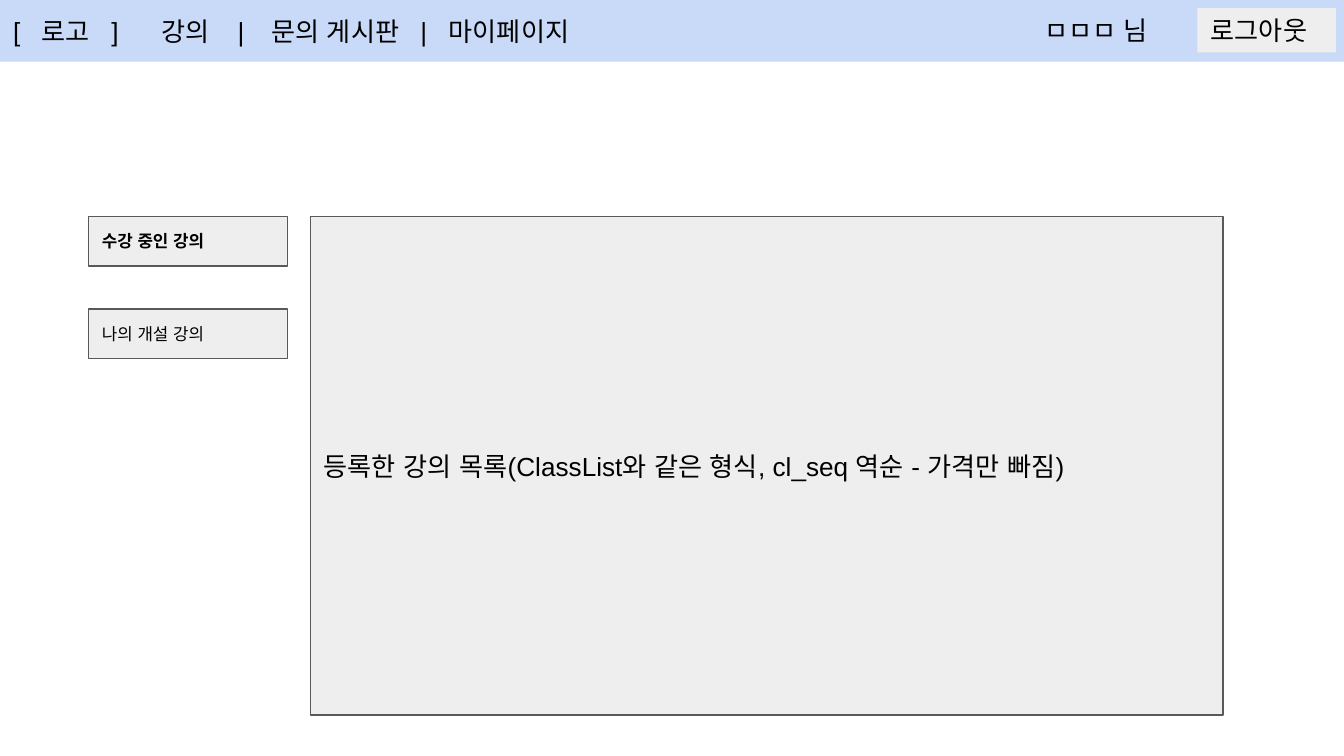
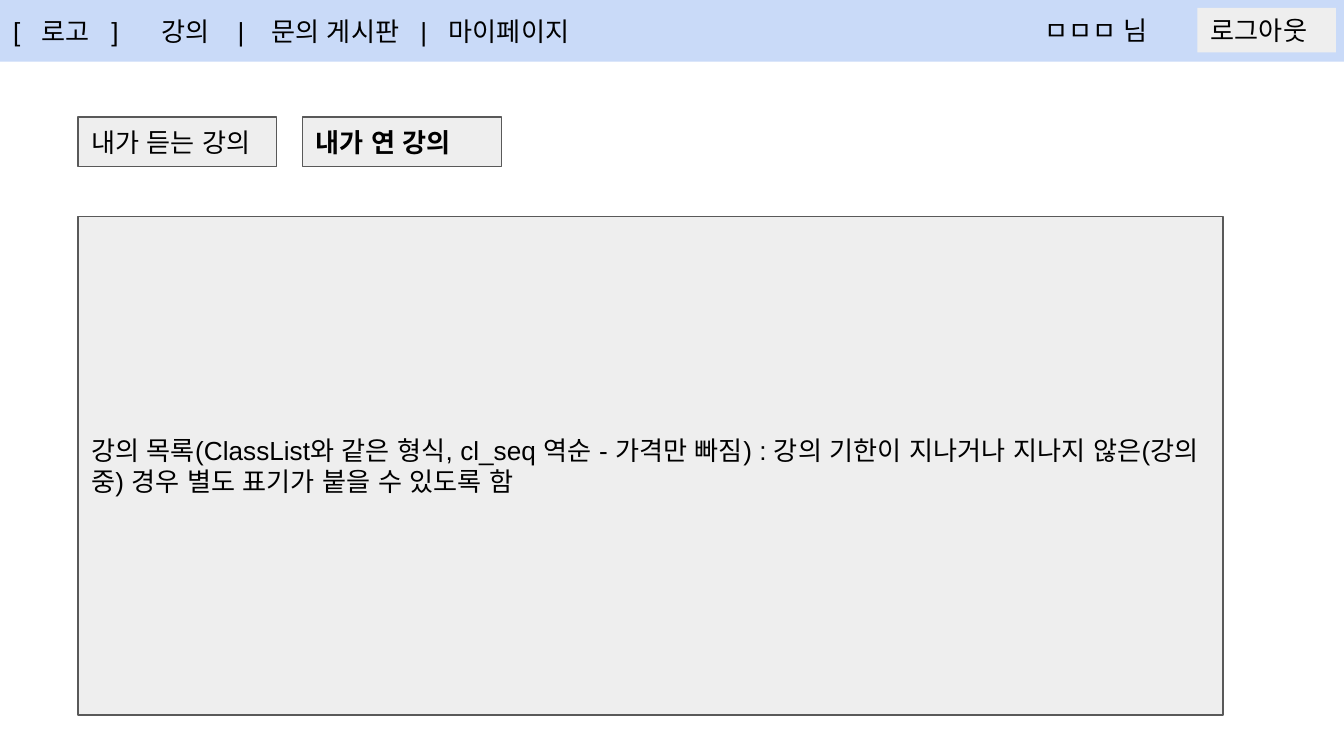
"""Build two wireframe slides of the my-page lecture lists."""
from dataclasses import dataclass

from lxml.etree import SubElement
from pptx import Presentation
from pptx.dml.color import RGBColor
from pptx.enum.shapes import MSO_SHAPE as Preset
from pptx.enum.text import MSO_ANCHOR as Anchor, PP_ALIGN as Align
from pptx.oxml.ns import qn
from pptx.slide import Slide
from pptx.text.text import TextFrame
from pptx.util import Inches, Pt

FONT = "Arial"
BLACK, BAND, PANEL, OUTLINE = "000000", "C9DAF8", "EEEEEE", "595959"
INSET = 0.1
TAB_WIDTH, TAB_HEIGHT = 1.48, 0.37
LIST_TOP, LIST_HEIGHT, LIST_RIGHT = 1.61, 3.71, 9.1
LOGIN_TOP, LOGIN_HEIGHT = 0.06, 0.33
MENU = ("[", "로고", "]", "강의", "|", "문의 게시판", "|", "마이페이지")
MENU_STOPS = (0.21, 0.73, 1.1, 1.67, 1.92, 3.03, 3.24)


@dataclass(frozen=True)
class Box:
    """A labelled rectangle, measured in inches."""

    text: str
    left: float
    top: float
    width: float
    height: float
    fill: str = PANEL
    outline: str | None = OUTLINE
    size: float = 14
    bold: bool = False


def color(value: str) -> RGBColor:
    """Turn a hex string into a colour."""
    return RGBColor.from_string(value)


def style_text(frame: TextFrame, text: str, size: float = 14, bold: bool = False) -> None:
    """Write left-aligned, vertically centred text into a frame."""
    frame.text = text
    frame.word_wrap = True
    frame.vertical_anchor = Anchor.MIDDLE
    frame.margin_left = frame.margin_right = Inches(INSET)
    frame.margin_top = frame.margin_bottom = Inches(INSET)
    for paragraph in frame.paragraphs:
        paragraph.alignment = Align.LEFT
        for run in paragraph.runs:
            run.font.name = FONT
            run.font.size = Pt(size)
            run.font.bold = bold
            run.font.color.rgb = color(BLACK)
            properties = run._r.get_or_add_rPr()
            for script in ("a:ea", "a:cs"):
                SubElement(properties, qn(script), typeface=FONT)


def draw_box(slide: Slide, box: Box) -> TextFrame:
    """Draw a box and return its text frame."""
    shape = slide.shapes.add_shape(
        Preset.RECTANGLE,
        Inches(box.left), Inches(box.top), Inches(box.width), Inches(box.height),
    )
    shape.shadow.inherit = False
    shape.fill.solid()
    shape.fill.fore_color.rgb = color(box.fill)
    if box.outline:
        shape.line.color.rgb = color(box.outline)
        shape.line.width = Pt(0.75)
    else:
        shape.line.fill.background()
    style_text(shape.text_frame, box.text, box.size, box.bold)
    return shape.text_frame


def set_tab_stops(frame: TextFrame, stops: tuple[float, ...]) -> None:
    """Give the first paragraph left tab stops."""
    properties = frame.paragraphs[0]._p.get_or_add_pPr()
    tab_list = SubElement(properties, qn("a:tabLst"))
    for stop in stops:
        SubElement(tab_list, qn("a:tab"), pos=str(Inches(stop)), algn="l")


def draw_header(slide: Slide) -> None:
    """Draw the menu band with the user name and logout button."""
    menu = draw_box(slide, Box("\t".join(MENU), 0, 0, 10, 0.46, BAND, None))
    set_tab_stops(menu, MENU_STOPS)
    user = slide.shapes.add_textbox(
        Inches(7.67), Inches(LOGIN_TOP), Inches(1.17), Inches(LOGIN_HEIGHT)
    )
    style_text(user.text_frame, "ㅁㅁㅁ 님")
    draw_box(slide, Box("로그아웃", 8.91, LOGIN_TOP, 1.03, LOGIN_HEIGHT, outline=None))


def lecture_list(text: str, left: float) -> Box:
    """Describe the list panel reaching to the shared right edge."""
    return Box(text, left, LIST_TOP, LIST_RIGHT - left, LIST_HEIGHT)


def tab(text: str, left: float, top: float, size: float = 14, bold: bool = False) -> Box:
    """Describe a tab that switches between lists."""
    return Box(text, left, top, TAB_WIDTH, TAB_HEIGHT, size=size, bold=bold)


PAGES = (
    (
        lecture_list("등록한 강의 목록(ClassList와 같은 형식, cl_seq 역순 - 가격만 빠짐)", 2.31),
        tab("수강 중인 강의", 0.66, LIST_TOP, 9, True),
        tab("나의 개설 강의", 0.66, 2.3, 9),
    ),
    (
        lecture_list(
            "강의 목록(ClassList와 같은 형식, cl_seq 역순 - 가격만 빠짐) : "
            "강의 기한이 지나거나 지나지 않은(강의 중) 경우 별도 표기가 붙을 수 있도록 함",
            0.58,
        ),
        tab("내가 듣는 강의", 0.58, 0.87),
        tab("내가 연 강의", 2.25, 0.87, bold=True),
    ),
)


def main() -> None:
    """Build and save the presentation."""
    deck = Presentation()
    deck.slide_width, deck.slide_height = Inches(10), Inches(5.625)
    for boxes in PAGES:
        slide = deck.slides.add_slide(deck.slide_layouts[6])
        draw_header(slide)
        for box in boxes:
            draw_box(slide, box)
    deck.save("out.pptx")


main()
